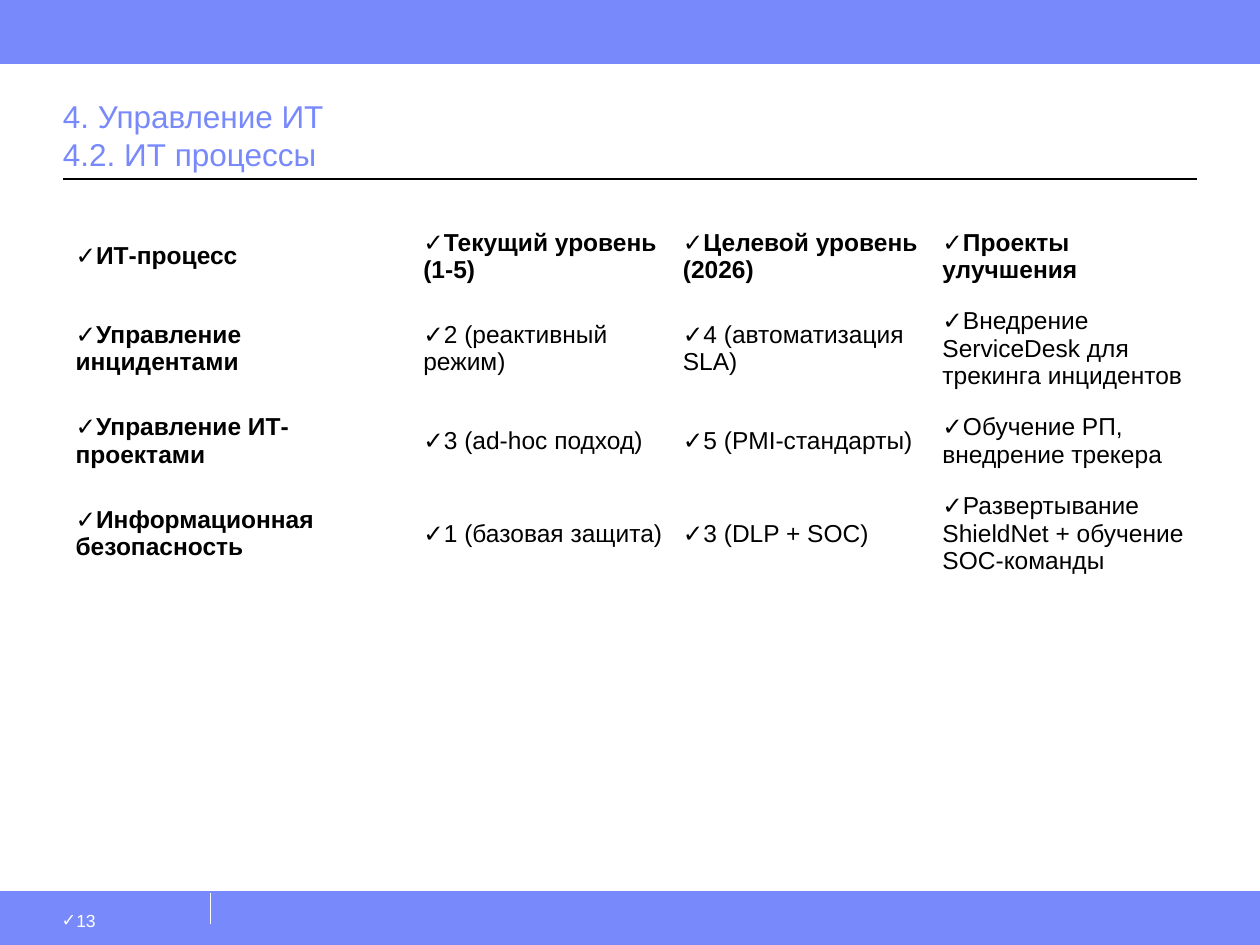
import pptx
import pptx.util
import pptx.dml.color
import pptx.enum.shapes
import pptx.enum.text
import pptx.oxml
from lxml import etree

Inches, Pt = pptx.util.Inches, pptx.util.Pt
ANCHOR = pptx.enum.text.MSO_ANCHOR
A = "http://schemas.openxmlformats.org/drawingml/2006/main"
BLUE, WHITE, BLACK = "7889FB", "FFFFFF", "000000"
CHECK = "✓"

TITLE = "4. Управление ИТ\v4.2. ИТ процессы"
PAGE = "13"
ROWS = [
    ("ИТ-процесс", "Текущий уровень (1-5)", "Целевой уровень (2026)", "Проекты улучшения"),
    ("Управление инцидентами", "2 (реактивный режим)", "4 (автоматизация SLA)",
     "Внедрение ServiceDesk для трекинга инцидентов"),
    ("Управление ИТ-проектами", "3 (ad-hoc подход)", "5 (PMI-стандарты)",
     "Обучение РП, внедрение трекера"),
    ("Информационная безопасность", "1 (базовая защита)", "3 (DLP + SOC)",
     "Развертывание ShieldNet + обучение SOC-команды"),
]
COLUMN_WIDTHS = [2.81, 2.06, 2.06, 2.06]
ROW_HEIGHTS = [0.54, 0.9, 0.54, 0.9]
BANDS = [(7.08, 0.42), (0, 0.5)]
LINES = [
    (1.67, 7.33, 1.67, 7.08, WHITE, 0.75),
    (0, 0.42, 10, 0.42, BLUE, 0.5),
    (0, 7.08, 10, 7.08, BLUE, 0.5),
    (0.5, 1.42, 9.5, 1.42, BLACK, 0.75),
]


def color(value):
    return pptx.dml.color.RGBColor.from_string(value)


def paint(fill, value):
    fill.solid()
    fill.fore_color.rgb = color(value)


def set_margins(target, margins):
    for side, value in zip(("left", "top", "right", "bottom"), margins):
        setattr(target, f"margin_{side}", Inches(value))


def write(tf, text, size, fill, bold=False, bullet=None):
    tf.word_wrap = True
    p = tf.paragraphs[0]
    p.text = text
    if bullet:
        pPr = p._p.get_or_add_pPr()
        for key in ("marL", "indent"):
            pPr.set(key, "0")
        etree.SubElement(pPr, f"{{{A}}}buFont", typeface="Arial")
        etree.SubElement(pPr, f"{{{A}}}buChar", char=bullet)
    for r in p.runs:
        for key, value in {"name": "Arial", "size": Pt(size), "bold": bold}.items():
            setattr(r.font, key, value)
        r.font.color.rgb = color(fill)


def add_text(s, box, margins, anchor, *content, **options):
    tf = s.shapes.add_textbox(*map(Inches, box)).text_frame
    set_margins(tf, margins)
    tf.vertical_anchor = anchor
    write(tf, *content, **options)


def add_band(s, top, height):
    sp = s.shapes.add_shape(pptx.enum.shapes.MSO_SHAPE.RECTANGLE,
                            0, Inches(top), Inches(10), Inches(height))
    sp.shadow.inherit = False
    paint(sp.fill, BLUE)
    paint(sp.line.fill, BLUE)
    sp.line.width = Pt(0.75)


def add_line(s, x1, y1, x2, y2, fill, width):
    line = s.shapes.add_connector(pptx.enum.shapes.MSO_CONNECTOR.STRAIGHT,
                                  *map(Inches, (x1, y1, x2, y2)))
    paint(line.line.fill, fill)
    line.line.width = Pt(width)
    etree.SubElement(line._element.spPr, f"{{{A}}}effectLst")


def add_process_table(s):
    table = s.shapes.add_table(len(ROWS), len(COLUMN_WIDTHS), Inches(0.5), Inches(1.75),
                               Inches(sum(COLUMN_WIDTHS)), Inches(sum(ROW_HEIGHTS))).table
    table.first_row = table.horz_banding = False
    for column, width in zip(table.columns, COLUMN_WIDTHS):
        column.width = Inches(width)
    for i, values in enumerate(ROWS):
        table.rows[i].height = Inches(ROW_HEIGHTS[i])
        for j, text in enumerate(values):
            cell = table.cell(i, j)
            paint(cell.fill, WHITE)
            cell.vertical_anchor = ANCHOR.MIDDLE
            set_margins(cell, (0.1 if j == 0 else 0.05, 0.05, 0.05, 0.05))
            write(cell.text_frame, text, 14, BLACK, bold=i == 0 or j == 0, bullet=CHECK)


def main():
    prs = pptx.Presentation()
    prs.slide_width, prs.slide_height = Inches(10), Inches(7.5)
    s = prs.slides.add_slide(prs.slide_layouts[6])
    for band in BANDS:
        add_band(s, *band)
    for line in LINES:
        add_line(s, *line)
    add_text(s, (0.33, 7.15, 1.33, 0.35), (0.16, 0.07, 0.1, 0.05), ANCHOR.TOP,
             PAGE, 10, WHITE, bullet=CHECK)
    add_text(s, (0.5, 0.5, 9, 0.92), (0, 0.05, 0, 0.05), ANCHOR.BOTTOM, TITLE, 18, BLUE)
    add_process_table(s)
    prs.save("out.pptx")


if __name__ == "__main__":
    main()
